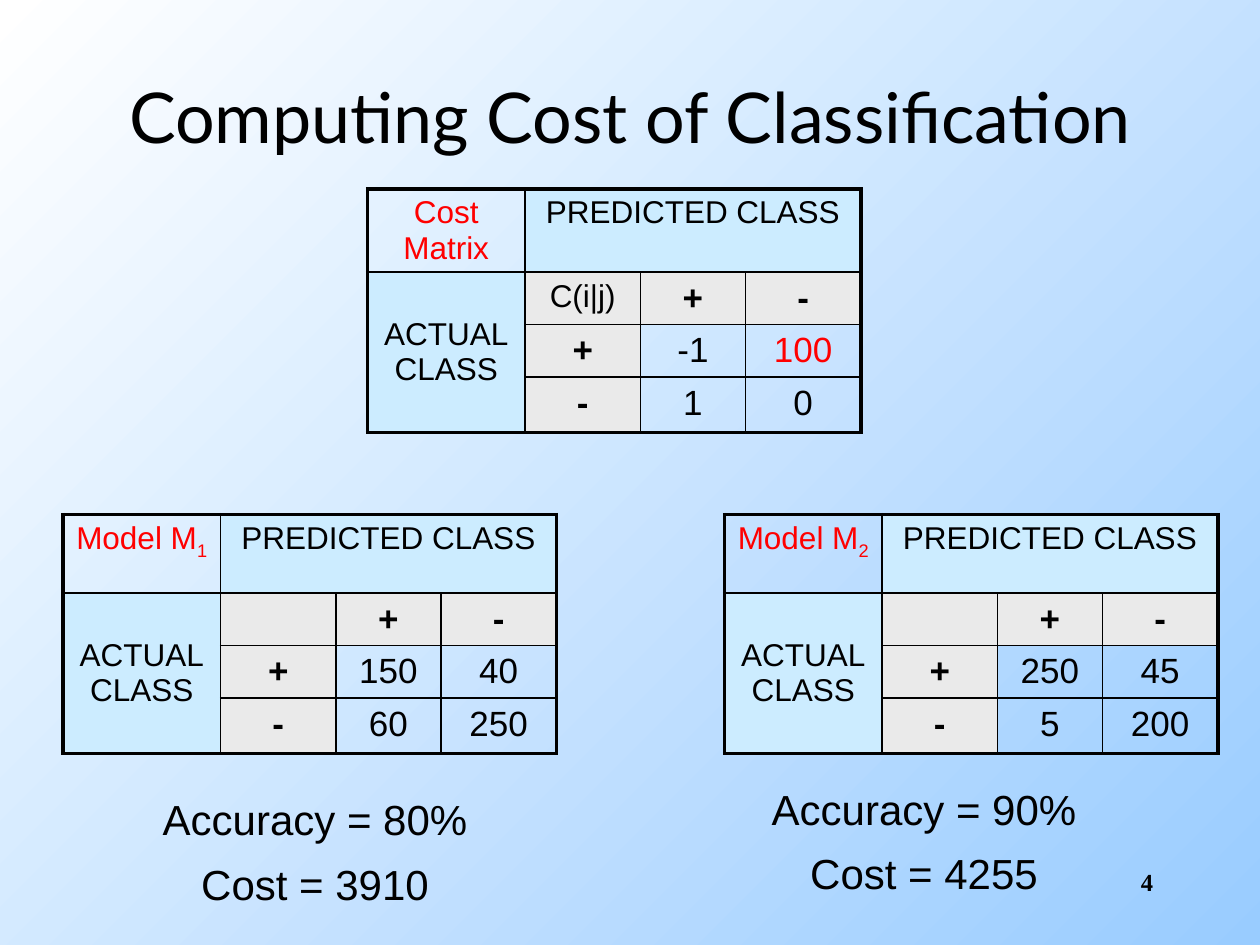
from itertools import product

from lxml.etree import SubElement
from pptx import Presentation
from pptx.dml.color import RGBColor as RGB
from pptx.enum.text import MSO_ANCHOR as ANCHOR, PP_ALIGN as ALIGN
from pptx.oxml.ns import qn
from pptx.util import Inches, Pt

COLORS = {"ink": "000000", "accent": "FF0000", "header": "CCECFF",
          "label": "EAEAEA", "light": "FFFFFF", "sky": "99CCFF"}
UNIT = 1 / 12  # one grid step in inches: 120 columns by 90 rows
COLS = (15, 11, 10, 11)
ROWS = (7.5, 5, 5, 5.25)
SPANS = {(0, 1): (1, 3), (1, 0): (3, 1)}
THIN, THICK = 1, 2.25


def grid(*steps):
    return [Inches(n * UNIT) for n in steps]


class Deck:
    """Holds the style and the current slide."""

    def __init__(self):
        self.prs = Presentation()
        self.prs.slide_width, self.prs.slide_height = grid(120, 90)
        self.s = self.prs.slides.add_slide(self.prs.slide_layouts[5])
        fill = self.s.background.fill
        fill.gradient()
        fill.gradient_angle = 315
        for stop, name in zip(fill.gradient_stops, ("light", "sky")):
            stop.color.rgb = RGB.from_string(COLORS[name])

    def run(self, p, text, size, color="ink", bold=False, font="Arial", sub=False):
        r = p.add_run()
        r.text = text
        r.font.size, r.font.bold, r.font.name = Pt(size), bold, font
        r.font.color.rgb = RGB.from_string(COLORS[color])
        if sub:
            r._r.get_or_add_rPr().set("baseline", "-25000")

    def title(self, text, *box):
        sp = self.s.shapes.title
        sp.left, sp.top, sp.width, sp.height = grid(*box)
        tf = sp.text_frame
        tf.vertical_anchor = ANCHOR.MIDDLE
        p = tf.paragraphs[0]
        p.alignment = ALIGN.CENTER
        self.run(p, text, 40, font="Lato")

    def text(self, lines, *box, align=ALIGN.CENTER, **style):
        tf = self.s.shapes.add_textbox(*grid(*box)).text_frame
        tf.word_wrap = True
        for i, line in enumerate(lines):
            p = tf.add_paragraph() if i else tf.paragraphs[0]
            p.alignment = align
            p.space_before, p.space_after = Pt(4 if i else 0), Pt(4)
            self.run(p, line, **style)

    def borders(self, cell, widths):
        tcPr = cell._tc.get_or_add_tcPr()
        for side, width in widths.items():
            ln = SubElement(tcPr, qn("a:ln" + side), w=str(Pt(width)))
            fill = SubElement(ln, qn("a:solidFill"))
            SubElement(fill, qn("a:srgbClr"), val=COLORS["ink"])

    def matrix(self, left, top, name, sub, corner, values, alert=None):
        """Adds a two-class matrix; values is 2 by 2, alert the value in red."""
        shape = self.s.shapes.add_table(4, 4, *grid(left, top, sum(COLS), sum(ROWS)))
        table = shape.table
        table.first_row = table.horz_banding = False
        for col, width in zip(table.columns, grid(*COLS)):
            col.width = width
        for row, height in zip(table.rows, grid(*ROWS)):
            row.height = height
        for (i, j), (h, w) in SPANS.items():
            table.cell(i, j).merge(table.cell(i + h - 1, j + w - 1))

        (a, b), (c, d) = values
        texts = [[name, "PREDICTED CLASS", "", ""],
                 ["ACTUAL\nCLASS", corner, "+", "-"],
                 ["", "+", a, b],
                 ["", "-", c, d]]
        for i, j in product(range(4), repeat=2):
            cell = table.cell(i, j)
            h, w = SPANS.get((i, j), (1, 1))
            edges = {"L": j == 0, "R": j + w == 4, "T": i == 0, "B": i + h == 4}
            self.borders(cell, {side: THICK if outer else THIN
                                for side, outer in edges.items()
                                if outer or not cell.is_spanned})
            is_value = i > 1 and j > 1
            if is_value or i == j == 0:
                cell.fill.background()
            else:
                cell.fill.solid()
                shade = "header" if 0 in (i, j) else "label"
                cell.fill.fore_color.rgb = RGB.from_string(COLORS[shade])
            if cell.is_spanned:
                continue
            if (i, j) == (1, 0):
                cell.vertical_anchor = ANCHOR.MIDDLE
            p = cell.text_frame.paragraphs[0]
            p.alignment, p.space_after = ALIGN.CENTER, Pt(4)
            text = texts[i][j]
            large = min(i, j) > 0 and (i, j) != (1, 1)
            red = i == j == 0 or (is_value and text == alert)
            for k, line in enumerate(text.split("\n") if text else []):
                if k:
                    p.add_line_break()
                self.run(p, line, 20 if large else 18, "accent" if red else "ink",
                         bold=large and not is_value)
            if i == j == 0 and sub:
                self.run(p, sub, 18, "accent", sub=True)


def main():
    deck = Deck()
    deck.title("Computing Cost of Classification", 9, 5, 102, 12)
    deck.matrix(35, 18, "Cost Matrix", "", "C(i|j)",
                [("-1", "100"), ("1", "0")], alert="100")
    deck.matrix(6, 49, "Model M", "1", "", [("150", "40"), ("60", "250")])
    deck.matrix(69, 49, "Model M", "2", "", [("250", "45"), ("5", "200")])
    deck.text(["Accuracy = 80%", "Cost = 3910"], 10, 75, 40, 13, size=24)
    deck.text(["Accuracy = 90%", "Cost = 4255"], 68, 74, 40, 13, size=24)
    deck.text(["4"], 86, 82, 25, 6, align=ALIGN.RIGHT, size=14, bold=True,
              font="Times New Roman")
    deck.prs.save("out.pptx")


if __name__ == "__main__":
    main()
